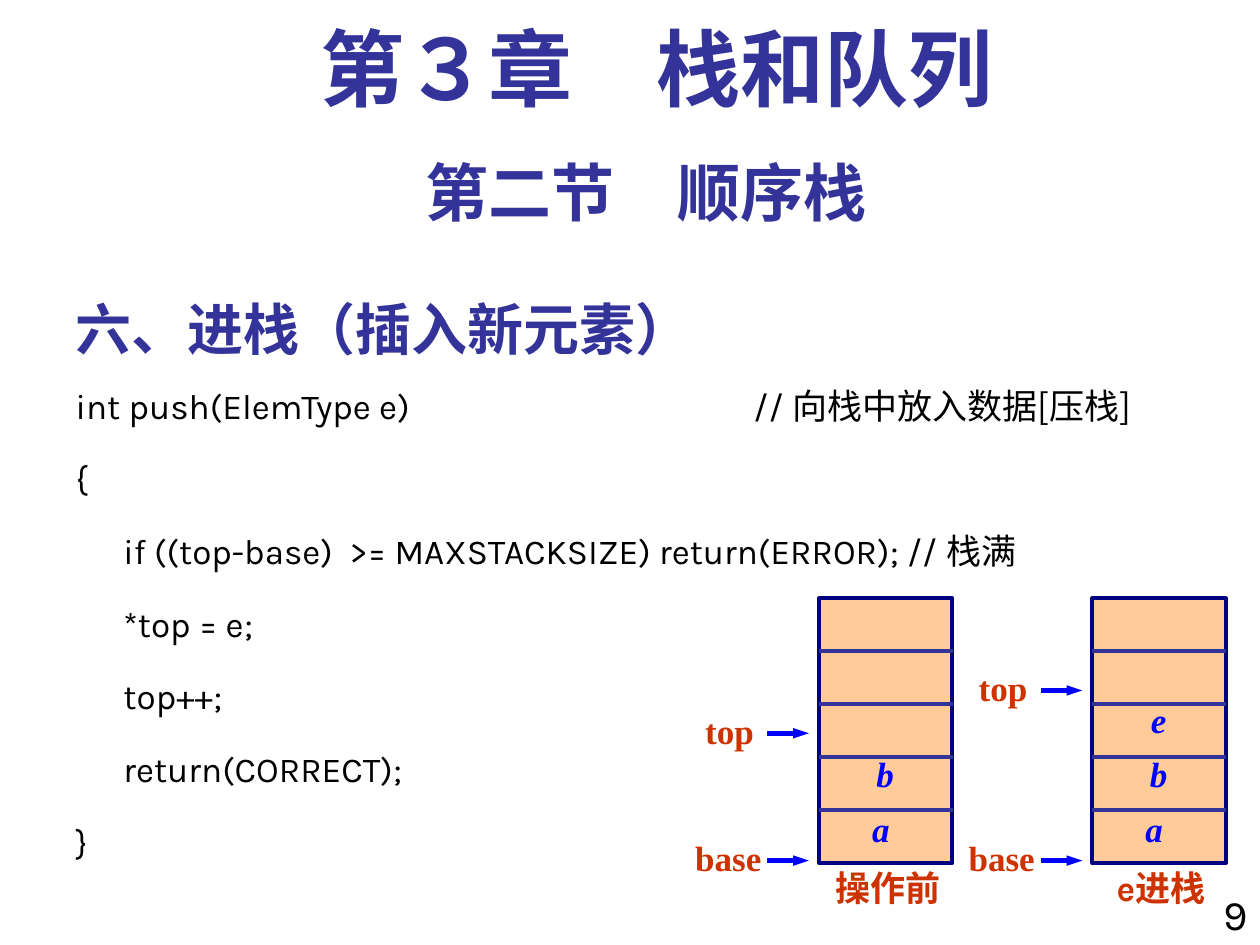
from lxml.etree import SubElement
from pptx import Presentation
from pptx.dml.color import RGBColor
from pptx.enum.shapes import MSO_CONNECTOR, MSO_SHAPE
from pptx.enum.text import MSO_ANCHOR, MSO_AUTO_SIZE, PP_ALIGN
from pptx.oxml.ns import qn
from pptx.util import Inches, Pt

# Content
HEAD = "六、进栈（插入新元素）"
CODE = [
    [("int push(ElemType e)\t\t\t// ", "Karla"),
     ("向栈中放入数据[压栈]", "Noto Sans CJK SC")],
    "{",
    "\tif ((top-base)  >= MAXSTACKSIZE) return(ERROR); // 栈满",
    "\t*top = e;",
    "\ttop++;",
    "\treturn(CORRECT);",
    "}",
]
# Stacks: left edge, height of the top pointer, cells from top to bottom, caption
STACKS = [
    (8.67, 5.48, ["e", "b", "a "], "e进栈"),
    (6.5, 5.82, ["b", "a "], "操作前"),
]

# Formats
NAVY, RED, BLUE = "333399", "CC3300", "0000FF"
TITLE = dict(name="Times New Roman", size=Pt(48), bold=True, color=NAVY)
SECT = dict(name="Karla", size=Pt(36), bold=True, color=NAVY)
TOPIC = dict(name="Noto Sans CJK SC", size=Pt(32), bold=True, color=NAVY)
BODY = dict(name="Karla", size=Pt(20), bold=False, color="000000")
PAGE = dict(BODY, size=Pt(24))
LABEL = dict(name="Times New Roman", size=Pt(20), bold=True, color=RED)
NOTE = dict(LABEL, name="Karla")
CELL = dict(LABEL, italic=True, color=BLUE)

# Stack grid
TOP, WIDE, TALL, ROW, ROWS = 4.75, 1.06, 2.1, 0.42, 5
BASE = 6.83


def rgb(code):
    return RGBColor.from_string(code)


def style(run, form):
    for key, val in form.items():
        if key == "color":
            run.font.color.rgb = rgb(val)
        else:
            setattr(run.font, key, val)
    ea = SubElement(run._r.get_or_add_rPr(), qn("a:ea"))
    ea.set("typeface", "Noto Sans CJK SC")


def place(shape, *box):
    for key, val in zip(("left", "top", "width", "height"), box):
        setattr(shape, key, Inches(val))


def write(frame, lines, form, align, gap=1.0):
    """Fill a frame; a line is a string or a list of (text, font) pairs."""
    for i, line in enumerate(lines):
        para = frame.add_paragraph() if i else frame.paragraphs[0]
        para.alignment, para.line_spacing = align, gap
        pairs = [(line, form["name"])] if isinstance(line, str) else line
        for text, font in pairs:
            run = para.add_run()
            run.text = text
            style(run, dict(form, name=font))


def label(shapes, box, lines, form, align=PP_ALIGN.CENTER, gap=1.0):
    frame = shapes.add_textbox(*map(Inches, box)).text_frame
    frame.word_wrap = True
    write(frame, lines, form, align, gap)
    return frame


def rule(shapes, x1, x2, y, color, width, arrow=False):
    line = shapes.add_connector(MSO_CONNECTOR.STRAIGHT,
                                *map(Inches, (x1, y, x2, y)))
    line.line.color.rgb = rgb(color)
    line.line.width = Pt(width)
    if arrow:
        tail = SubElement(line.line._get_or_add_ln(), qn("a:tailEnd"))
        tail.set("type", "triangle")
        tail.set("w", "sm")
    SubElement(line._element.spPr, qn("a:effectLst"))


def stack(slide, x, mark, cells, note):
    shapes = slide.shapes.add_group_shape().shapes
    # Pointers
    for text, left, width, y in (("top", 1.0, 0.58, mark), ("base", 1.08, 0.72, BASE)):
        rule(shapes, x - 0.41, x - 0.08, y, BLUE, 3, arrow=True)
        frame = label(shapes, (x - left, y - 0.24, width, 0.44), [text], LABEL)
        frame.margin_left = frame.margin_right = 0
    # Cells
    rect = shapes.add_shape(MSO_SHAPE.RECTANGLE, *map(Inches, (x, TOP, WIDE, TALL)))
    rect.shadow.inherit = False
    rect.fill.solid()
    rect.fill.fore_color.rgb = rgb("FFCC99")
    rect.line.color.rgb = rgb("000080")
    rect.line.width = Pt(2.25)
    for i in range(1, ROWS):
        rule(shapes, x, x + WIDE, TOP + i * ROW, NAVY, 2.25)
    frame = label(shapes, (x + 0.25, 4.67, 0.55, 2.12), cells, CELL, gap=1.3)
    frame.margin_top = 0
    frame.vertical_anchor = MSO_ANCHOR.BOTTOM
    # Caption
    label(shapes, (x - 0.08, BASE, 1.25, 0.44), [note], NOTE)


def main():
    deck = Presentation()
    deck.slide_width, deck.slide_height = Inches(10), Inches(7.5)
    slide = deck.slides.add_slide(deck.slide_layouts[1])
    head, body = slide.placeholders

    # Topic and code
    place(head, 0.5, 2.17, 6.25, 0.75)
    head.text_frame.vertical_anchor = MSO_ANCHOR.BOTTOM
    write(head.text_frame, [HEAD], TOPIC, PP_ALIGN.LEFT)
    place(body, 0.5, 3, 9.21, 4.25)
    write(body.text_frame, CODE, BODY, PP_ALIGN.LEFT)
    for para in body.text_frame.paragraphs:
        para.space_before = Pt(17.5)
        props = para._p.get_or_add_pPr()
        for key, val in (("marL", 0.38), ("indent", -0.38), ("defTabSz", 1)):
            props.set(key, str(Inches(val)))
        SubElement(props, qn("a:buNone"))
        tabs = SubElement(props, qn("a:tabLst"))
        for i in range(8):
            tab = SubElement(tabs, qn("a:tab"))
            tab.set("pos", str(Inches(i)))
            tab.set("algn", "l")
    for shape in (head, body):
        shape.text_frame.auto_size = MSO_AUTO_SIZE.NONE

    # Chapter, section and page number
    label(slide.shapes, (0.67, 0.17, 9.08, 0.83), ["第３章　栈和队列"], TITLE, gap=0.9)
    label(slide.shapes, (0.5, 1.17, 9.25, 0.7), ["第二节　顺序栈"], SECT)
    label(slide.shapes, (9.33, 7, 0.67, 0.59), ["9"], PAGE, PP_ALIGN.RIGHT)

    # Stacks before and after the push
    for item in STACKS:
        stack(slide, *item)
    deck.save("out.pptx")


if __name__ == "__main__":
    main()
